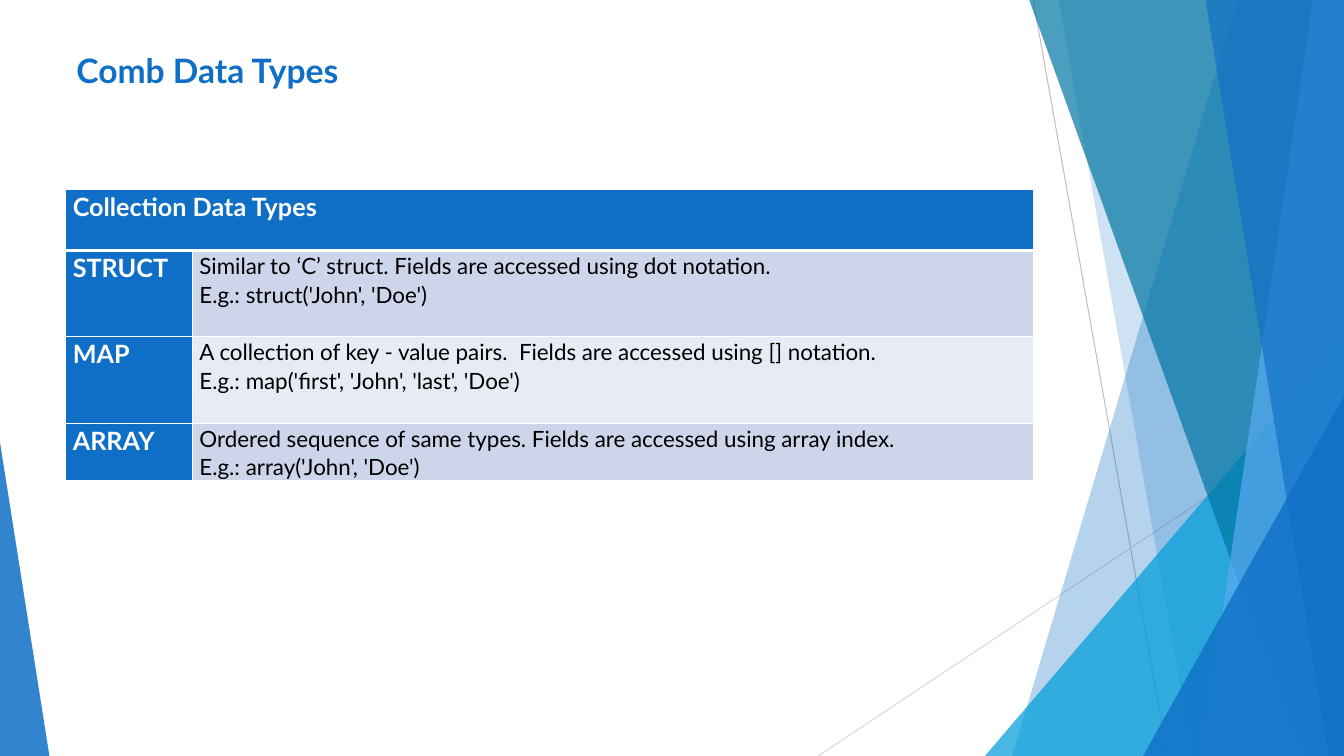
from lxml import etree
from pptx import Presentation
from pptx.dml.color import RGBColor
from pptx.enum.shapes import MSO_CONNECTOR, MSO_SHAPE
from pptx.enum.text import MSO_ANCHOR
from pptx.oxml.ns import qn
from pptx.util import Pt

COLORS = {
    "blue": "0F6FC6", "cyan": "009DD9", "teal": "0076A3", "sky": "59AAF2",
    "band": "CCD5EA", "pale": "E7EBF5", "white": "FFFFFF", "black": "000000",
    "grey": "BFBFBF", "light grey": "D9D9D9",
}
RIGHT, BOTTOM, TOP = 960, 540, -0.6


def paint(shape, color, opacity):
    shape.shadow.inherit = False
    shape.fill.solid()
    shape.fill.fore_color.rgb = RGBColor.from_string(COLORS[color])
    shape.line.fill.background()
    rgb = shape.fill._xPr.find(qn("a:solidFill"))[0]
    etree.SubElement(rgb, qn("a:alpha")).set("val", str(opacity * 1000))


def write(frame, lines, size, color, bold, spacing):
    frame.word_wrap = True
    for i, line in enumerate(lines):
        paragraph = frame.paragraphs[0] if i == 0 else frame.add_paragraph()
        paragraph.line_spacing = spacing
        run = paragraph.add_run()
        run.text = line
        run.font.name = "Lato"
        run.font.size = Pt(size)
        run.font.bold = bold
        run.font.color.rgb = RGBColor.from_string(COLORS[color])


prs = Presentation()
prs.slide_width, prs.slide_height = Pt(RIGHT), Pt(BOTTOM)
slide = prs.slides.add_slide(prs.slide_layouts[6])
shapes = slide.shapes

for x1, y1, x2, y2, color in [
    (738, 0, 834, BOTTOM, "grey"),
    (RIGHT, 290, 584.5, BOTTOM, "light grey"),
]:
    line = shapes.add_connector(MSO_CONNECTOR.STRAIGHT, Pt(x1), Pt(y1), Pt(x2), Pt(y2))
    line.line.width = Pt(0.75)
    line.line.color.rgb = RGBColor.from_string(COLORS[color])
    etree.SubElement(line._element.spPr, qn("a:effectLst"))

facets = [
    ("band", 884, 723, "blue", 30),
    ("band", 756, 852, "blue", 20),
    ("triangle", 703.5, 240, 256.5, 1, "cyan", 72),
    ("band", 735, 929.5, "teal", 70),
    ("band", 938, 858, "sky", 70),
    ("band", 861, 949, "blue", 65),
    ("triangle", 816.5, 283, 143.5, 1, "blue", 80),
    ("triangle", 0, 316, 35.3, 0, "blue", 85),
]
for kind, *geometry, color, opacity in facets:
    if kind == "band":
        top_x, bottom_x = geometry
        outline = shapes.build_freeform(Pt(top_x), Pt(TOP))
        corners = [(RIGHT, TOP), (RIGHT, BOTTOM), (bottom_x, BOTTOM)]
        outline.add_line_segments([(Pt(x), Pt(y)) for x, y in corners], close=True)
        facet = outline.convert_to_shape()
    else:
        left, top, width, apex = geometry
        facet = shapes.add_shape(MSO_SHAPE.ISOSCELES_TRIANGLE,
                                 Pt(left), Pt(top), Pt(width), Pt(BOTTOM - top))
        facet.adjustments[0] = apex
    paint(facet, color, opacity)

title = shapes.add_textbox(Pt(47.5), Pt(33), Pt(659), Pt(34)).text_frame
title.margin_top = title.margin_bottom = 0
title.vertical_anchor = MSO_ANCHOR.MIDDLE
write(title, ["Comb Data Types"], 24, "blue", True, 1)

data_types = [
    ("Collection Data Types", []),
    ("STRUCT", ["Similar to ‘C’ struct. Fields are accessed using dot notation.",
                "E.g.: struct('John', 'Doe')"]),
    ("MAP", ["A collection of key - value pairs.  Fields are accessed using [] notation.",
             "E.g.: map('first', 'John', 'last', 'Doe')"]),
    ("ARRAY", ["Ordered sequence of same types. Fields are accessed using array index.",
               "E.g.: array('John', 'Doe')"]),
]
widths, heights = [90.5, 601], [43.5, 61.5, 62, 41]
table = shapes.add_table(4, 2, Pt(47), Pt(135.5), Pt(sum(widths)), Pt(sum(heights))).table
for column, width in zip(table.columns, widths):
    column.width = Pt(width)
for row, height in zip(table.rows, heights):
    row.height = Pt(height)
table.cell(0, 0).merge(table.cell(0, 1))

for r, (name, description) in enumerate(data_types):
    for c in range(2):
        cell = table.cell(r, c)
        cell.margin_left = cell.margin_right = Pt(5)
        cell.margin_top = cell.margin_bottom = 0
        if c == 0:
            fill = "blue"
            write(cell.text_frame, [name], 18, "white", True, 1.07)
        else:
            fill = "blue" if r == 0 else ("band" if r % 2 else "pale")
            write(cell.text_frame, description, 16, "black", False, 1.07)
        properties = cell._tc.get_or_add_tcPr()
        for side in "LRTB":
            thick = (r == 0 and side == "B") or (r == 1 and side == "T")
            border = etree.SubElement(properties, qn("a:ln" + side))
            border.set("w", str(Pt(3 if thick else 1)))
            solid = etree.SubElement(border, qn("a:solidFill"))
            etree.SubElement(solid, qn("a:srgbClr")).set("val", COLORS["white"])
        cell.fill.solid()
        cell.fill.fore_color.rgb = RGBColor.from_string(COLORS[fill])

prs.save("out.pptx")
